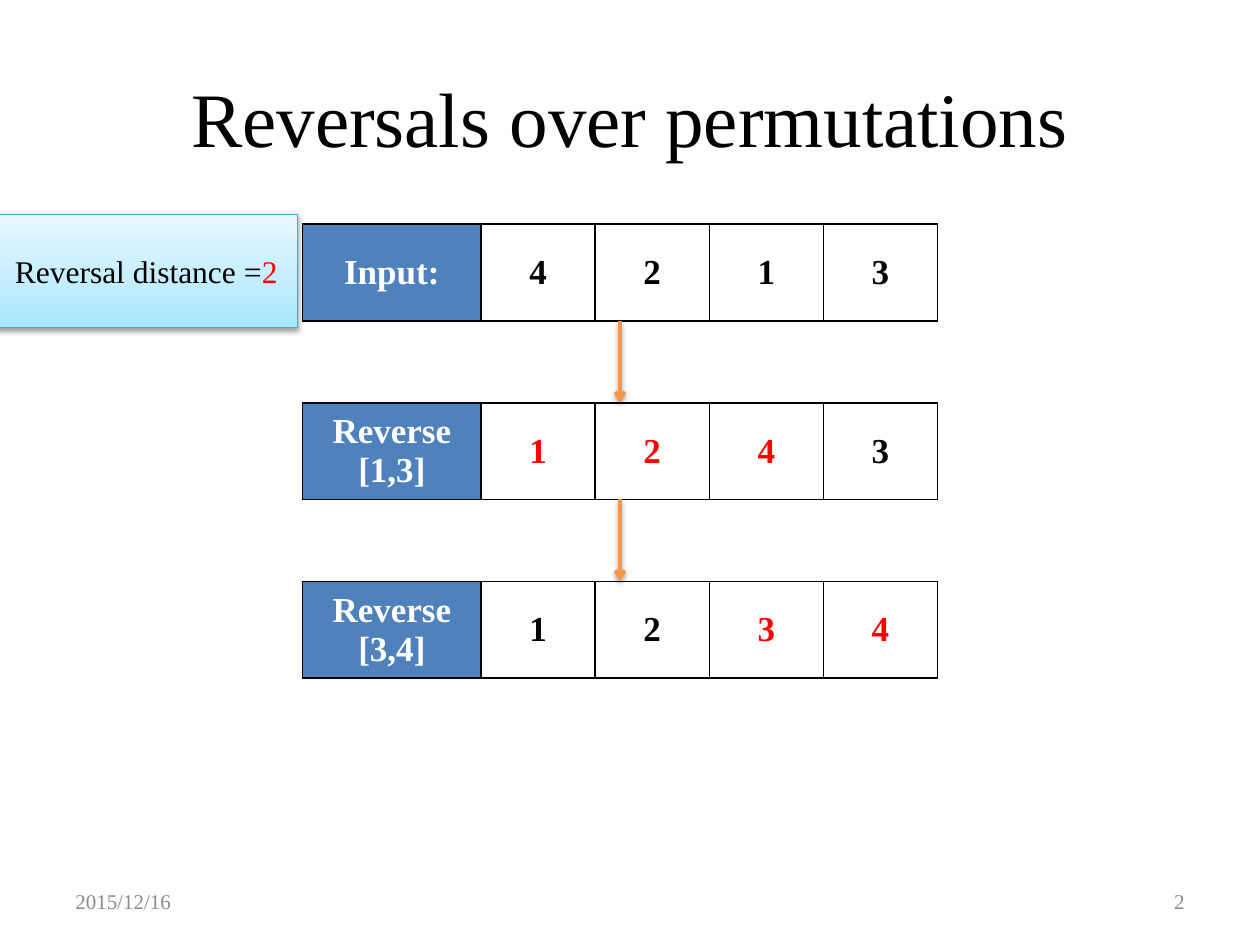
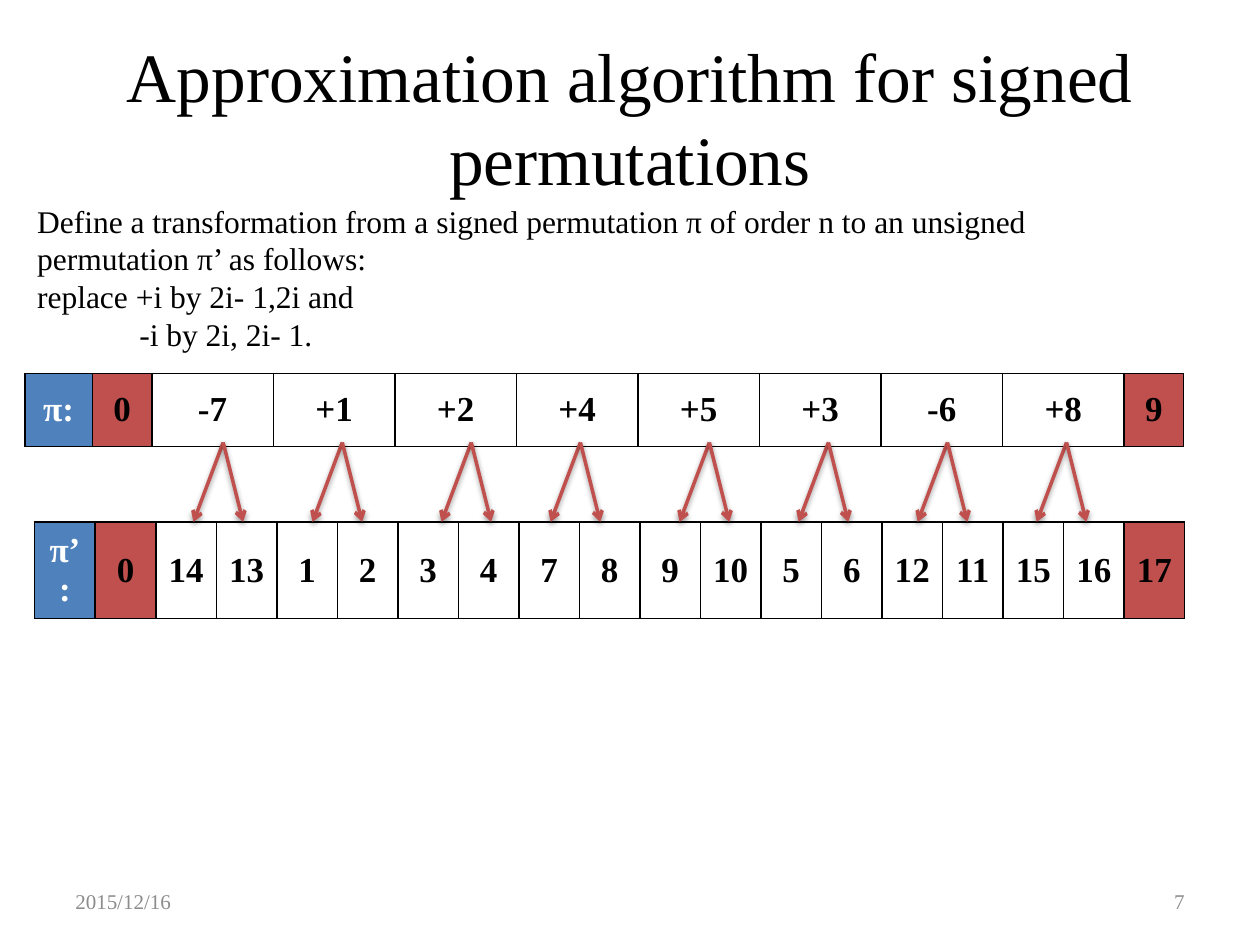
from copy import deepcopy

from lxml import etree
from pptx import Presentation
from pptx.dml.color import RGBColor
from pptx.enum.shapes import MSO_CONNECTOR, MSO_SHAPE
from pptx.enum.text import MSO_ANCHOR, PP_ALIGN
from pptx.oxml.ns import qn
from pptx.util import Cm, Pt

LEFT, MID, RIGHT = PP_ALIGN.LEFT, PP_ALIGN.CENTER, PP_ALIGN.RIGHT
TOP, CENTER = MSO_ANCHOR.TOP, MSO_ANCHOR.MIDDLE
RECT, LINE = MSO_SHAPE.RECTANGLE, MSO_CONNECTOR.STRAIGHT

BLACK = RGBColor(0x00, 0x00, 0x00)
WHITE = RGBColor(0xFF, 0xFF, 0xFF)
GRAY = RGBColor(0x8C, 0x8C, 0x8C)
RED = RGBColor(0xFF, 0x00, 0x00)
BLUE = RGBColor(0x4F, 0x81, 0xBD)
RUST = RGBColor(0xC0, 0x50, 0x4D)
ORANGE = RGBColor(0xF7, 0x96, 0x46)
TEAL = RGBColor(0x46, 0xAA, 0xC5)
SKY = [
    (0, RGBColor(0xA7, 0xE6, 0xFF)),
    (0.35, RGBColor(0xC1, 0xED, 0xFF)),
    (1, RGBColor(0xE7, 0xF8, 0xFF)),
]
FONT = "Times New Roman"


def add_run(para, text, size, color, bold):
    run = para.add_run()
    run.text = text
    run.font.name = FONT
    run.font.size = Pt(size)
    run.font.bold = bold
    run.font.color.rgb = color


def write(frame, text, size=18, color=BLACK, bold=False, align=LEFT, tail=""):
    for i, line in enumerate(text.split("\n")):
        para = frame.add_paragraph() if i else frame.paragraphs[0]
        para.alignment = align
        add_run(para, line, size, color, bold)
    if tail:
        add_run(para, tail, size, RED, bold)


def add_text(slide, x, y, w, h, text, anchor=CENTER, **style):
    frame = slide.shapes.add_textbox(Cm(x), Cm(y), Cm(w), Cm(h)).text_frame
    frame.word_wrap = True
    frame.vertical_anchor = anchor
    write(frame, text, **style)
    return frame


def add_shade(shape):
    effects = etree.SubElement(shape._element.spPr, qn("a:effectLst"))
    shade = etree.SubElement(effects, qn("a:outerShdw"), blurRad="40000",
                             dist="20000", dir="5400000", rotWithShape="0")
    color = etree.SubElement(shade, qn("a:srgbClr"), val="000000")
    etree.SubElement(color, qn("a:alpha"), val="38000")


def add_arrow(slide, x1, y1, x2, y2, color):
    arrow = slide.shapes.add_connector(LINE, Cm(x1), Cm(y1), Cm(x2), Cm(y2))
    arrow.line.color.rgb = color
    arrow.line.width = Pt(2)
    etree.SubElement(arrow.line._get_or_add_ln(), qn("a:tailEnd"), type="arrow")
    add_shade(arrow)


def add_label(slide, x, y, w, h, text, tail):
    label = slide.shapes.add_shape(RECT, Cm(x), Cm(y), Cm(w), Cm(h))
    label.fill.gradient()
    label.fill.gradient_angle = 90
    stops = label._element.spPr.find(qn("a:gradFill")).find(qn("a:gsLst"))
    stops.append(deepcopy(stops[-1]))
    for stop, (place, color) in zip(label.fill.gradient_stops, SKY):
        stop.position = place
        stop.color.rgb = color
    label.line.color.rgb = TEAL
    label.line.width = Pt(0.75)
    add_shade(label)
    label.text_frame.word_wrap = True
    label.text_frame.vertical_anchor = CENTER
    write(label.text_frame, text, align=MID, tail=tail)


def add_edges(cell):
    props = cell._tc.get_or_add_tcPr()
    for side in ("a:lnL", "a:lnR", "a:lnT", "a:lnB"):
        edge = etree.SubElement(props, qn(side), w=str(Pt(1)))
        fill = etree.SubElement(edge, qn("a:solidFill"))
        etree.SubElement(fill, qn("a:srgbClr"), val=str(BLACK))


def add_row(slide, x, y, h, widths, words, moved=(), ends=()):
    table = slide.shapes.add_table(1, len(words), Cm(x), Cm(y),
                                   Cm(sum(widths)), Cm(h)).table
    table.first_row = table.horz_banding = False
    for i, (width, word) in enumerate(zip(widths, words)):
        table.columns[i].width = Cm(width)
        cell = table.cell(0, i)
        cell.vertical_anchor = CENTER
        add_edges(cell)
        cell.fill.solid()
        cell.fill.fore_color.rgb = BLUE if i == 0 else RUST if i in ends else WHITE
        color = WHITE if i == 0 else RED if i in moved else BLACK
        write(cell.text_frame, word, size=20, color=color, bold=True, align=MID)


def add_page(deck, title, size, number):
    slide = deck.slides.add_slide(deck.slide_layouts[6])
    add_text(slide, 1.27, 0.76, 22.86, 3.18, title, size=size, align=MID)
    add_text(slide, 1.27, 17.66, 5.93, 1.01, "2015/12/16", size=12, color=GRAY)
    add_text(slide, 18.2, 17.66, 5.93, 1.01, number, size=12, color=GRAY, align=RIGHT)
    return slide


def add_steps(deck):
    slide = add_page(deck, "Reversals over permutations", 44, "2")
    steps = [
        (["Input:", *"4213"], 1.95, ()),
        (["Reverse\n[1,3]", *"1243"], 1.8, (1, 2, 3)),
        (["Reverse\n[3,4]", *"1234"], 1.8, (3, 4)),
    ]
    widths = [3.6] + [2.3] * 4
    for i, (words, height, moved) in enumerate(steps):
        top = 4.52 + 3.6 * i
        add_row(slide, 6.1, top, height, widths, words, moved=moved)
        if i:
            add_arrow(slide, 12.5, top - 1.65, 12.5, top, ORANGE)
    add_label(slide, -0.1, 4.32, 6.1, 2.29, "Reversal distance =", "2")


def add_signed(deck):
    slide = add_page(deck, "Approximation algorithm for signed permutations", 39.6, "7")
    body = add_text(
        slide, 0.5, 3.94, 21, 3.33,
        "Define a transformation from a signed permutation π of order n to an "
        "unsigned permutation π’ as follows:\n"
        "replace +i by 2i- 1,2i and\n-i by 2i, 2i- 1.", anchor=TOP)
    body.paragraphs[-1]._p.get_or_add_pPr().set("marL", str(Cm(2.06)))

    signed = [-7, 1, 2, 4, 5, 3, -6, 8]
    pairs = []
    for value in signed:
        high = 2 * abs(value)
        pairs += [high - 1, high] if value > 0 else [high, high - 1]
    upper = ["π:", "0"] + [f"{value:+d}" for value in signed] + ["9"]
    lower = ["π’:", "0"] + [str(value) for value in pairs] + ["17"]
    add_row(slide, 0.5, 7.53, 1.47, [1.36, 1.2] + [2.45] * 8 + [1.2], upper, ends=(1, 10))
    add_row(slide, 0.7, 10.52, 1.95, [1.22] * 19, lower, ends=(1, 18))
    for x in (4.5, 6.9, 9.5, 11.7, 14.3, 16.7, 19.1, 21.5):
        for shift in (-0.6, 0.4):
            add_arrow(slide, x, 8.92, x + shift, 10.52, RUST)


def main():
    deck = Presentation()
    deck.slide_width, deck.slide_height = Cm(25.4), Cm(19.05)
    add_steps(deck)
    add_signed(deck)
    deck.save("out.pptx")


if __name__ == "__main__":
    main()
